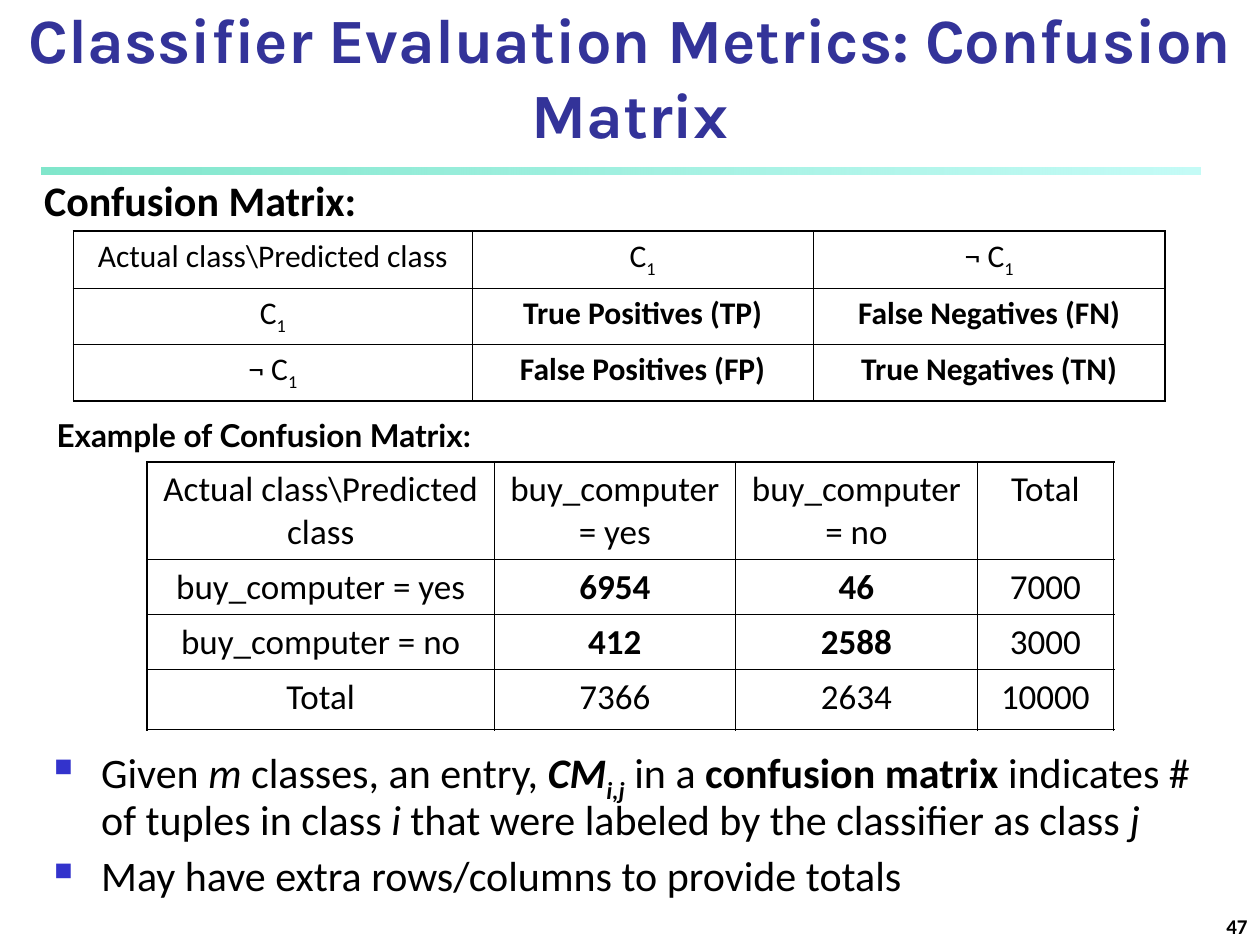
from dataclasses import dataclass

from lxml import etree
from pptx import Presentation
from pptx.dml.color import RGBColor
from pptx.enum.shapes import MSO_SHAPE
from pptx.enum.text import MSO_ANCHOR, PP_ALIGN
from pptx.oxml.ns import qn
from pptx.util import Cm, Pt

RECTANGLE = MSO_SHAPE.RECTANGLE
TOP, BOTTOM = MSO_ANCHOR.TOP, MSO_ANCHOR.BOTTOM
LEFT, CENTER, RIGHT = PP_ALIGN.LEFT, PP_ALIGN.CENTER, PP_ALIGN.RIGHT


@dataclass(frozen=True)
class Theme:
    ink: str = "000000"
    title: str = "333399"
    bullet: str = "3333CC"
    rule_stops: tuple = (("00CE98", 50), ("8FF9EF", 52))
    body_font: str = "Calibri"
    title_font: str = "Karla"
    caption_font: str = "Lato"
    title_size: float = 36
    body_size: float = 24
    example_size: float = 20
    small_size: float = 18
    number_size: float = 12
    outer_line: float = 1.08
    inner_line: float = 0.45


@dataclass(frozen=True)
class Box:
    left: float
    top: float
    width: float
    height: float

    def lengths(self):
        return Cm(self.left), Cm(self.top), Cm(self.width), Cm(self.height)


THEME = Theme()
SUB = {"subscript": True}
C1 = (("C", {}), ("1", SUB))
NOT_C1 = (("¬ C", {}), ("1", SUB))

CLASS_ROWS = (
    ("Actual class\\Predicted class", C1, NOT_C1),
    (C1, "True Positives (TP)", "False Negatives (FN)"),
    (NOT_C1, "False Positives (FP)", "True Negatives (TN)"),
)
EXAMPLE_ROWS = (
    ("Actual class\\Predicted class", "buy_computer = yes", "buy_computer = no", "Total"),
    ("buy_computer = yes", "6954", "46", "7000"),
    ("buy_computer = no", "412", "2588", "3000"),
    ("Total", "7366", "2634", "10000"),
)
ITALIC = {"italic": True}
NOTES = (
    (
        ("Given ", {}),
        ("m", ITALIC),
        (" classes, an entry, ", {}),
        ("CM", {"bold": True, "italic": True}),
        ("i,j", {"bold": True, "italic": True, "subscript": True}),
        (" in a ", {}),
        ("confusion matrix", {"bold": True}),
        (" indicates # of tuples in class ", {}),
        ("i", ITALIC),
        (" that were labeled by the classifier as class ", {}),
        ("j", ITALIC),
    ),
    "May have extra rows/columns to provide totals",
)


def add_span(para, text, *, size, font=THEME.body_font, color=THEME.ink,
             bold=False, italic=False, subscript=False):
    span = para.add_run()
    span.text = text
    span.font.size = Pt(size)
    span.font.name = font
    span.font.color.rgb = RGBColor.from_string(color)
    span.font.bold = bold
    span.font.italic = italic
    if subscript:
        span.font._element.set("baseline", "-25000")


def fill_para(para, content, align=LEFT, **style):
    para.alignment = align
    spans = ((content, {}),) if isinstance(content, str) else content
    for text, extra in spans:
        add_span(para, text, **{**style, **extra})


def add_frame(page, box, anchor=TOP):
    frame = page.shapes.add_textbox(*box.lengths()).text_frame
    frame.word_wrap = True
    frame.vertical_anchor = anchor
    return frame


def add_label(page, box, text, align=LEFT, anchor=TOP, **style):
    frame = add_frame(page, box, anchor)
    fill_para(frame.paragraphs[0], text, align, bold=True, **style)


def add_rule(page, box):
    rule = page.shapes.add_shape(RECTANGLE, *box.lengths())
    rule.shadow.inherit = False
    rule.line.fill.background()
    rule.fill.gradient()
    rule.fill.gradient_angle = 0
    for stop, (color, opacity) in zip(rule.fill.gradient_stops, THEME.rule_stops):
        stop.color.rgb = RGBColor.from_string(color)
    colors = rule._element.spPr.iter(qn("a:srgbClr"))
    for node, (color, opacity) in zip(colors, THEME.rule_stops):
        etree.SubElement(node, qn("a:alpha"), val=str(opacity * 1000))


def set_borders(cell, outer_sides):
    properties = cell._tc.get_or_add_tcPr()
    for side in ("L", "R", "T", "B"):
        width = THEME.outer_line if side in outer_sides else THEME.inner_line
        line = etree.SubElement(properties, qn("a:ln" + side), w=str(Pt(width)))
        solid = etree.SubElement(line, qn("a:solidFill"))
        etree.SubElement(solid, qn("a:srgbClr"), val=THEME.ink)


def add_matrix(page, box, rows, widths, heights, size):
    last_row, last_column = len(rows) - 1, len(widths) - 1
    table = page.shapes.add_table(len(rows), len(widths), *box.lengths()).table
    table.first_row = table.horz_banding = False
    for column, share in zip(table.columns, widths):
        column.width = Cm(box.width * share / sum(widths))
    for row, share in zip(table.rows, heights):
        row.height = Cm(box.height * share / sum(heights))
    for r, contents in enumerate(rows):
        for c, content in enumerate(contents):
            cell = table.cell(r, c)
            edges = {"L": c == 0, "R": c == last_column, "T": r == 0, "B": r == last_row}
            set_borders(cell, [side for side, is_outer in edges.items() if is_outer])
            cell.fill.background()
            is_count = r in (1, 2) and c in (1, 2)
            fill_para(cell.text_frame.paragraphs[0], content, CENTER,
                      size=size, bold=is_count)


def add_notes(page, box, notes):
    frame = add_frame(page, box)
    for index, note in enumerate(notes):
        para = frame.add_paragraph() if index else frame.paragraphs[0]
        para.line_spacing = 0.9
        para.space_before = Pt(6 if index else 0)
        properties = para._p.get_or_add_pPr()
        properties.set("marL", str(Cm(0.95)))
        properties.set("indent", str(Cm(-0.95)))
        color = etree.SubElement(properties, qn("a:buClr"))
        etree.SubElement(color, qn("a:srgbClr"), val=THEME.bullet)
        etree.SubElement(properties, qn("a:buSzPct"), val="60000")
        etree.SubElement(properties, qn("a:buChar"), char="■")
        fill_para(para, note, size=THEME.body_size)


def add_confusion_page(deck, box):
    def place(left, top, width, height):
        return Box(box.left + left, box.top + top, width, height)

    page = deck.slides.add_slide(deck.slide_layouts[6])
    add_rule(page, place(0.84, 3.38, 23.37, 0.14))
    add_label(page, place(0, 0, box.width, 3.18),
              "Classifier Evaluation Metrics: Confusion Matrix", CENTER, BOTTOM,
              size=THEME.title_size, font=THEME.title_font, color=THEME.title)
    add_matrix(page, place(2.97, 9.31, 19.48, 5.4), EXAMPLE_ROWS,
               (6.99, 4.87, 4.87, 2.75), (1.97, 1.11, 1.11, 1.21), THEME.example_size)
    add_notes(page, place(0.84, 14.94, 23.5, 3.48), NOTES)
    add_label(page, place(0.64, 3.39, 7.24, 1.28), "Confusion Matrix:",
              size=THEME.body_size)
    add_matrix(page, place(1.48, 4.66, 22.01, 3.43), CLASS_ROWS,
               (8.04, 6.87, 7.1), (1, 1, 1), THEME.small_size)
    add_label(page, place(0.89, 8.26, 9.83, 1.02), "Example of Confusion Matrix:",
              size=THEME.small_size, font=THEME.caption_font)
    add_label(page, place(20.12, 17.98, 5.28, 1.07), "47", RIGHT, BOTTOM,
              size=THEME.number_size)


def main():
    deck = Presentation()
    deck.slide_width, deck.slide_height = Cm(25.4), Cm(19.05)
    add_confusion_page(deck, Box(0, 0, 25.4, 19.05))
    deck.save("out.pptx")


if __name__ == "__main__":
    main()
